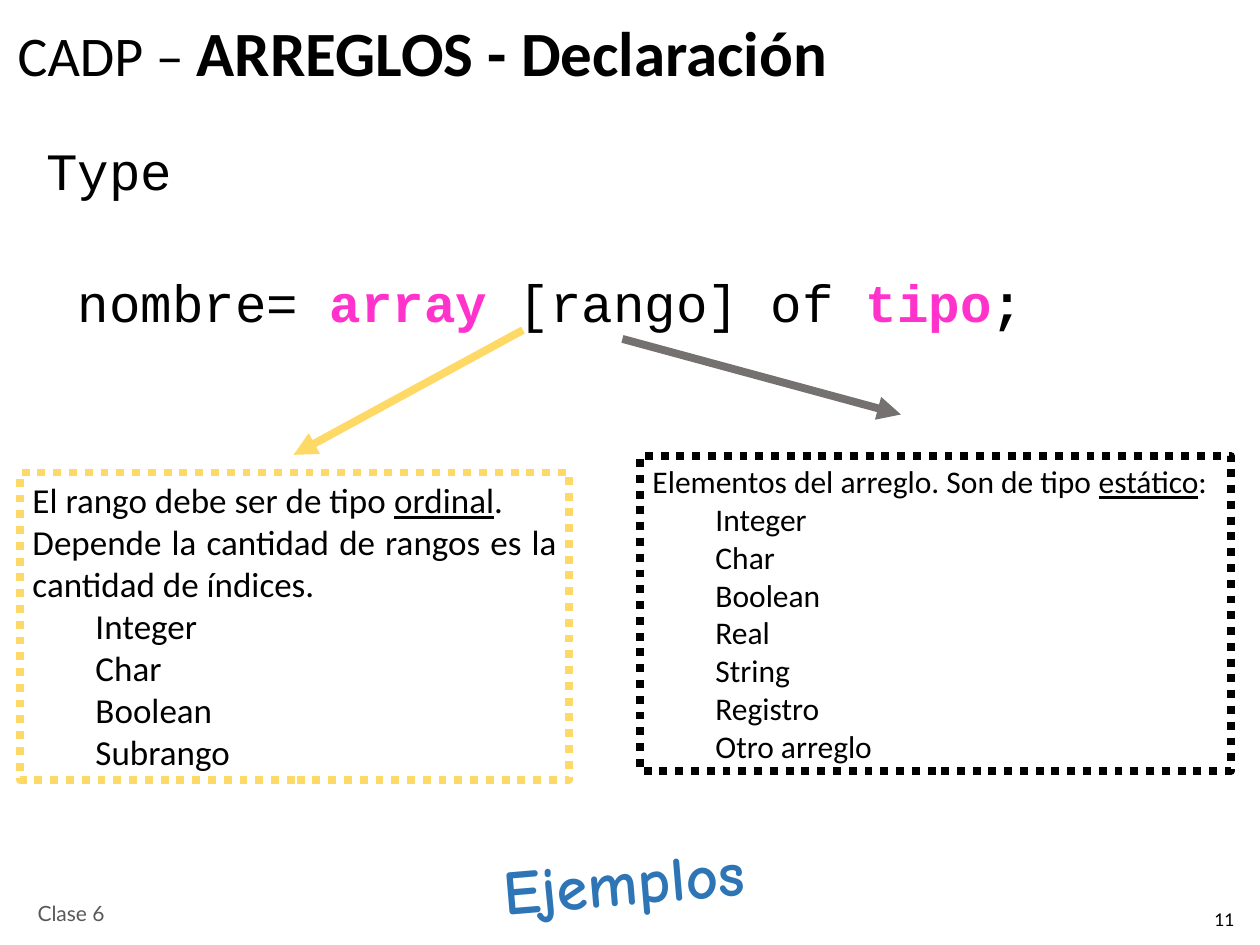
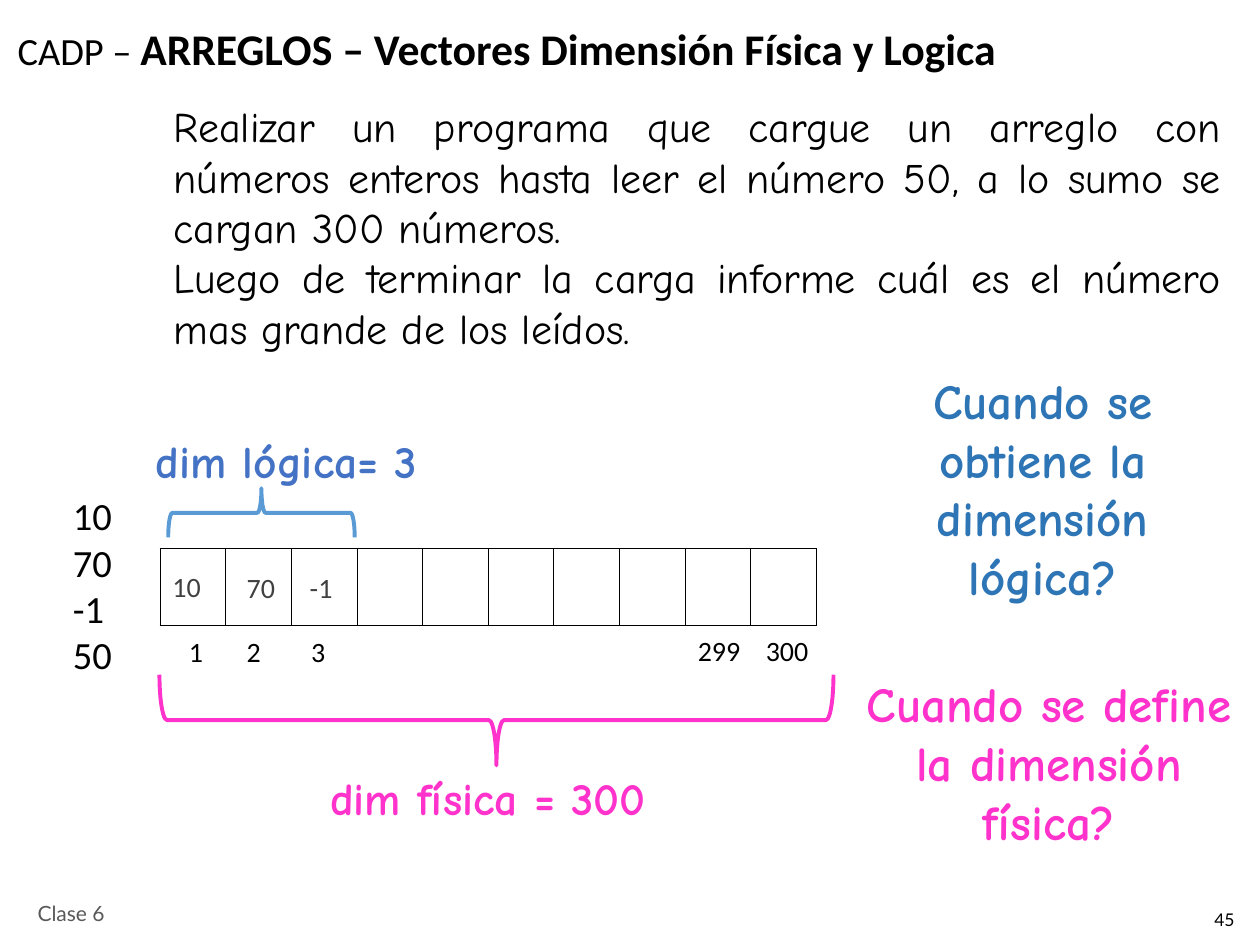
from lxml import etree
from pptx import Presentation
from pptx import util as u
from pptx.dml.color import RGBColor
from pptx.enum import dml, shapes, text
from pptx.oxml import ns

COLORS = {
    "black": "000000", "gray": "595959", "dark": "404040", "steel": "767171",
    "yellow": "FFD966", "pink": "FF33CC", "blue": "2E75B6",
    "label_blue": "4472C4", "brace_blue": "5B9BD5",
}
BODY, CODE, HAND, FOOTER = "Calibri", "Courier New", "Comic Neue", "Lato"
LEFT, CENTER, JUSTIFY = text.PP_ALIGN.LEFT, text.PP_ALIGN.CENTER, text.PP_ALIGN.JUSTIFY
TOP, MIDDLE, BOTTOM = text.MSO_ANCHOR.TOP, text.MSO_ANCHOR.MIDDLE, text.MSO_ANCHOR.BOTTOM

presentation = Presentation()
presentation.slide_width = u.Inches(10)
presentation.slide_height = u.Inches(7.5)
COLUMN = presentation.slide_width / 100
ROW = presentation.slide_height / 75


def grid(left, top, width, height):
    return [round(n * step) for n, step in zip((left, top, width, height), (COLUMN, ROW) * 2)]


def write(shape, paragraphs, size, font=BODY, color="black", align=LEFT,
          bold=False, anchor=TOP, indent_from=99):
    frame = shape.text_frame
    frame.word_wrap = True
    frame.auto_size = text.MSO_AUTO_SIZE.NONE
    frame.vertical_anchor = anchor
    for index, runs in enumerate(paragraphs):
        paragraph = frame.paragraphs[0] if index == 0 else frame.add_paragraph()
        paragraph.alignment = align
        if index >= indent_from:
            properties = paragraph._p.get_or_add_pPr()
            properties.set("marL", str(u.Inches(0.5)))
            properties.set("indent", "0")
        paragraph.font.name = font
        paragraph.font.size = u.Pt(size)
        paragraph.font.bold = bold
        paragraph.font.color.rgb = RGBColor.from_string(COLORS[color])
        for content, style in [(runs, {})] if isinstance(runs, str) else runs:
            run = paragraph.add_run()
            run.text = content
            run.font.bold = style.get("bold")
            run.font.underline = style.get("underline")
            if "size" in style:
                run.font.size = u.Pt(style["size"])
            if "color" in style:
                run.font.color.rgb = RGBColor.from_string(COLORS[style["color"]])
    return frame


slides = []
for number, heading, top, size, heading_size, spacing in (
    ("11", "ARREGLOS - Declaración", 1.5, 32, 36, 0.8),
    ("45", "ARREGLOS – Vectores Dimensión Física y Logica", 0.3, 22, 25, 0.7),
):
    slide = presentation.slides.add_slide(presentation.slide_layouts[5])
    title = slide.shapes.title
    title.left, title.top, title.width, title.height = grid(0.4, top, 85.1, 6)
    frame = write(title, [[("CADP – ", {}), (heading, {"size": heading_size, "bold": True})]],
                  size, anchor=BOTTOM)
    frame.paragraphs[0].line_spacing = spacing
    write(slide.shapes.add_textbox(*grid(2, 70.5, 23.3, 4)), ["Clase 6"],
          12, FOOTER, "gray", anchor=MIDDLE)
    write(slide.shapes.add_textbox(*grid(95.4, 70.9, 4.6, 4.1)), [number],
          10, FOOTER, anchor=MIDDLE)
    slides.append(slide)
declaration, dimensions = slides

examples = declaration.shapes.add_textbox(*grid(34.2, 66.4, 30.6, 7))
examples.rotation = 355.2
write(examples, ["Ejemplos"], 36, HAND, "blue", CENTER, True)

keyword = {"color": "pink", "bold": True}
code = write(declaration.shapes.add_textbox(*grid(2.7, 10.5, 82, 15.4)), [
    "Type",
    [(" nombre= ", {}), ("array ", keyword), ("[rango] of ", {}), ("tipo", keyword),
     (";", {"bold": True})],
], 30, CODE)
code.paragraphs[1].space_before = u.Pt(39)

underlined = {"underline": True}
for place, color, size, intro, types in (
    ((1.6, 37.5, 43.6, 24.4), "yellow", 20,
     [[("El rango debe ser de tipo ", {}), ("ordinal", underlined), (".", {})],
      "Depende la cantidad de rangos es la cantidad de índices."],
     ["Integer", "Char", "Boolean", "Subrango"]),
    ((50.8, 36.2, 46.9, 25), "black", 18,
     [[("Elementos del arreglo. Son de tipo ", {}), ("estático", underlined), (":", {})]],
     ["Integer", "Char", "Boolean", "Real", "String", "Registro", "Otro arreglo"]),
):
    box = declaration.shapes.add_shape(shapes.MSO_SHAPE.RECTANGLE, *grid(*place))
    box.shadow.inherit = False
    box.fill.background()
    box.line.color.rgb = RGBColor.from_string(COLORS[color])
    box.line.width = u.Pt(4.5)
    box.line.dash_style = dml.MSO_LINE.ROUND_DOT
    write(box, intro + types, size, align=JUSTIFY, indent_from=len(intro))

for ends, color in (((41.5, 26.2, 23.3, 36.1), "yellow"), ((49.4, 26.9, 71.5, 32.9), "steel")):
    arrow = declaration.shapes.add_connector(shapes.MSO_CONNECTOR.STRAIGHT, *grid(*ends))
    arrow.line.color.rgb = RGBColor.from_string(COLORS[color])
    arrow.line.width = u.Pt(4.5)
    etree.SubElement(arrow.line._get_or_add_ln(), ns.qn("a:tailEnd"), type="triangle")
    etree.SubElement(arrow._element.spPr, ns.qn("a:effectLst"))

write(dimensions.shapes.add_textbox(*grid(12.8, 7.5, 85.1, 21)), [
    "Realizar un programa que cargue un arreglo con números enteros hasta leer el número 50, "
    "a lo sumo se cargan 300 números.",
    "Luego de terminar la carga informe cuál es el número mas grande de los leídos.",
], 24, HAND, align=JUSTIFY)

vector = dimensions.shapes.add_table(1, 10, *grid(12.7, 43.5, 52.1, 6.1)).table
vector.first_row = vector.horz_banding = False
for cell in vector.iter_cells():
    cell.fill.background()
    cell_properties = cell._tc.get_or_add_tcPr()
    for position, side in enumerate(("lnL", "lnR", "lnT", "lnB")):
        border = etree.Element(ns.qn(f"a:{side}"), w=str(u.Pt(0.45)))
        fill = etree.SubElement(border, ns.qn("a:solidFill"))
        etree.SubElement(fill, ns.qn("a:srgbClr"), val=COLORS["black"])
        cell_properties.insert(position, border)

for content, left, top, width, color in (
    ("10", 12.7, 44.7, 6.1, "dark"), ("70", 18.6, 44.8, 4.8, "dark"),
    ("-1", 23.6, 44.8, 4.8, "dark"),
    ("1", 14, 49.9, 3.8, "black"), ("2", 18.6, 49.9, 3.8, "black"),
    ("3", 23.7, 49.9, 3.8, "black"),
    ("299", 54.4, 49.8, 5.8, "black"), ("300", 59.8, 49.8, 5.6, "black"),
):
    write(dimensions.shapes.add_textbox(*grid(left, top, width, 3.7)), [content],
          16, color=color, align=JUSTIFY)

write(dimensions.shapes.add_textbox(*grid(4.8, 38.6, 6.4, 15.7)), ["10", "70", "-1", "50"], 22)

for place, rotation, color in (
    ((35.8, 30.4, 7.2, 53.5), 90, "pink"),
    ((18.8, 33.3, 3.9, 14.8), 270, "brace_blue"),
):
    brace = dimensions.shapes.add_shape(shapes.MSO_SHAPE.RIGHT_BRACE, *grid(*place))
    brace.rotation = rotation
    brace.shadow.inherit = False
    brace.fill.background()
    brace.line.color.rgb = RGBColor.from_string(COLORS[color])
    brace.line.width = u.Pt(2.25)

for content, left, top, height, size, color in (
    ("dim física = 300", 23, 60.6, 5.4, 26, "pink"),
    ("dim lógica= 3", 7, 33.9, 5.4, 26, "label_blue"),
    ("Cuando se obtiene la dimensión lógica?", 67, 28.9, 19.7, 28, "blue"),
    ("Cuando se define la dimensión física?", 67.5, 53, 19.7, 28, "pink"),
):
    write(dimensions.shapes.add_textbox(*grid(left, top, 31.5, height)), [content],
          size, HAND, color, CENTER, True)

presentation.save("out.pptx")
